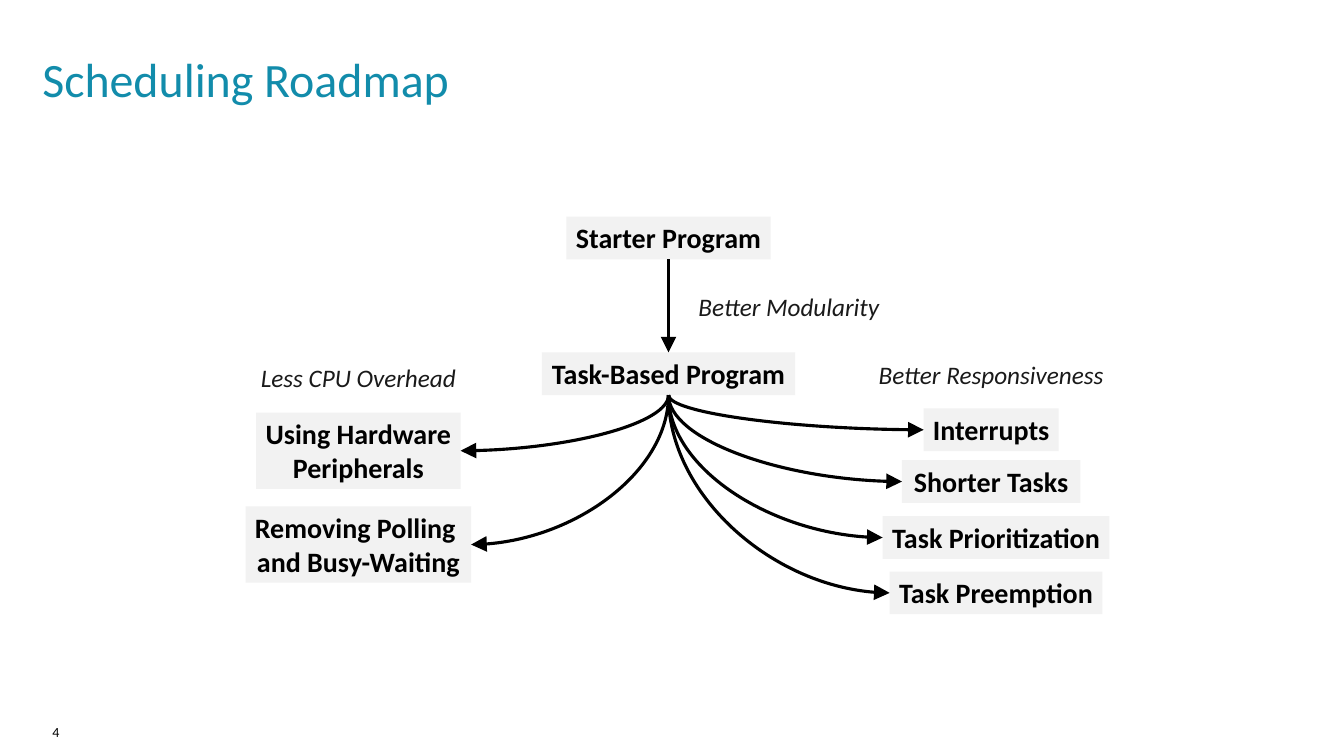
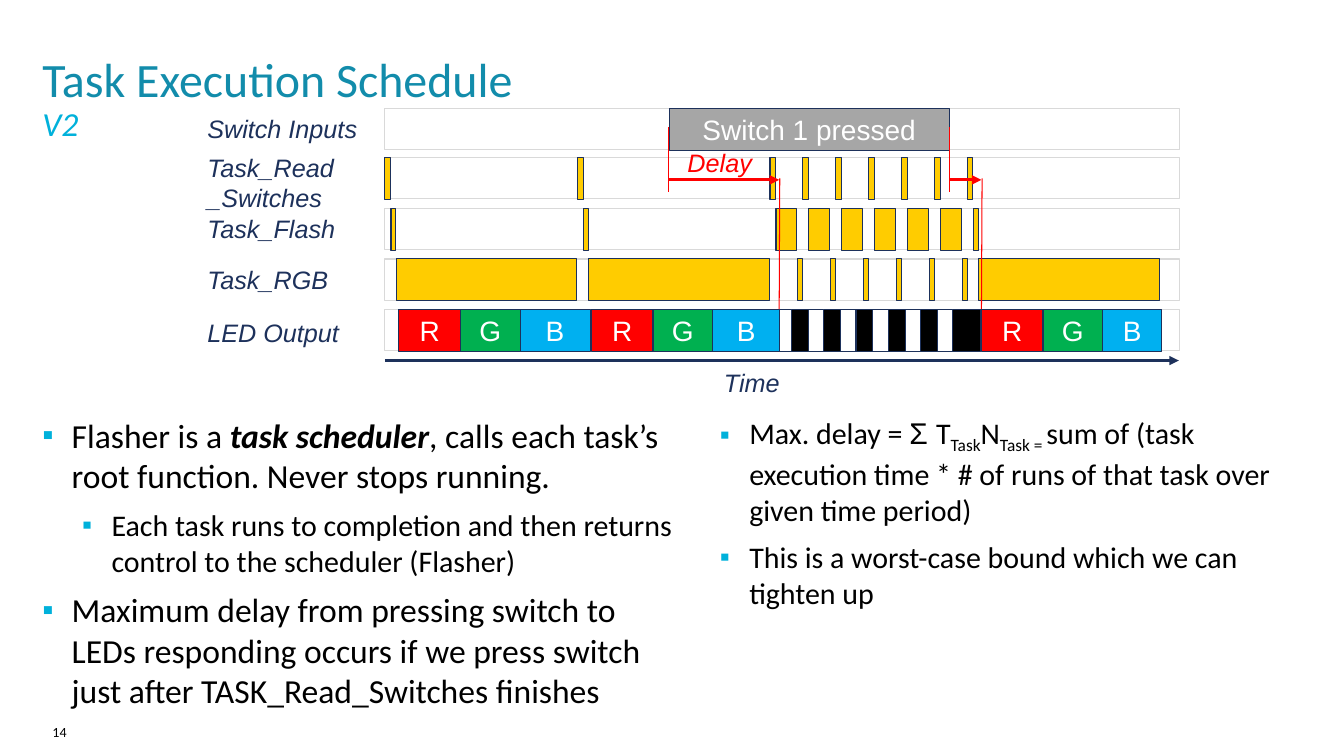
from dataclasses import dataclass

from lxml import etree
from pptx import Presentation
from pptx.dml.color import RGBColor
from pptx.enum.shapes import MSO_CONNECTOR, MSO_SHAPE
from pptx.enum.text import MSO_ANCHOR, PP_ALIGN
from pptx.oxml.ns import qn
from pptx.util import Pt

RECT = MSO_SHAPE.RECTANGLE
LINE, CURVE = MSO_CONNECTOR.STRAIGHT, MSO_CONNECTOR.CURVE
TOP, MID = MSO_ANCHOR.TOP, MSO_ANCHOR.MIDDLE
LEFT, MIDST = PP_ALIGN.LEFT, PP_ALIGN.CENTER
UP, WEST, DOWN, EAST = range(4)


@dataclass(frozen=True)
class Theme:
    sans: str = "Calibri"
    plain: str = "Arial"
    teal: str = "128CAB"
    cyan: str = "00B1DB"
    navy: str = "1D315B"
    black: str = "000000"
    white: str = "FFFFFF"
    ink: str = "1A1A1A"
    pale: str = "F2F2F2"
    rule: str = "D9D9D9"
    gray: str = "A6A6A6"
    gold: str = "FFCC00"
    red: str = "FF0000"
    green: str = "00B050"
    blue: str = "00B0F0"
    title: float = 34.2
    body: float = 24
    sub: float = 21.4
    node: float = 20
    note: float = 18
    foot: float = 10
    thin: float = 0.75
    thick: float = 2.25


T = Theme()


def rgb(code):
    return RGBColor.from_string(code)


def write(para, text, size, color, face=T.sans, bold=False, slant=False, base=0):
    for num, part in enumerate(text.split("\n")):
        if num:
            para.add_line_break()
        run = para.add_run()
        run.text = part
        font = run.font
        font.name, font.size = face, Pt(size)
        font.bold, font.italic = bold, slant
        font.color.rgb = rgb(color)
        if base:
            run._r.get_or_add_rPr().set("baseline", str(base * 1000))


def frame(shape, pad, wrap, side=LEFT, anchor=TOP):
    area = shape.text_frame
    area.word_wrap = wrap
    area.vertical_anchor = anchor
    area.margin_left = area.margin_right = Pt(pad[0])
    area.margin_top = area.margin_bottom = Pt(pad[1])
    para = area.paragraphs[0]
    para.alignment = side
    return para


def text(slide, x, y, w, h, pad=(0, 0), wrap=True, side=LEFT):
    box = slide.shapes.add_textbox(Pt(x), Pt(y), Pt(w), Pt(h))
    return box, frame(box, pad, wrap, side)


def rect(slide, x, y, w, h, fill=None, edge=None):
    shape = slide.shapes.add_shape(RECT, Pt(x), Pt(y), Pt(w), Pt(h))
    shape.shadow.inherit = False
    if fill:
        shape.fill.solid()
        shape.fill.fore_color.rgb = rgb(fill)
    else:
        shape.fill.background()
    if edge:
        shape.line.color.rgb = rgb(edge)
        shape.line.width = Pt(T.thin)
    else:
        shape.line.fill.background()
    return shape


def style(link, color, width, head=None):
    link.line.color.rgb = rgb(color)
    link.line.width = Pt(width)
    props = link.element.spPr
    if head:
        edge = props.find(qn("a:ln"))
        etree.SubElement(edge, qn("a:tailEnd"), type="triangle", w=head, len=head)
    etree.SubElement(props, qn("a:effectLst"))


def line(slide, x1, y1, x2, y2, color, width=T.thin, head=None):
    link = slide.shapes.add_connector(LINE, Pt(x1), Pt(y1), Pt(x2), Pt(y2))
    style(link, color, width, head)


def join(slide, kind, start, out, end, into):
    link = slide.shapes.add_connector(kind, 0, 0, 0, 0)
    link.begin_connect(start, out)
    link.end_connect(end, into)
    style(link, T.black, T.thick, "lg")
    return link


def bend(slide, start, end, into):
    link = join(slide, CURVE, start, DOWN, end, into)
    wide, high = link.width, link.height
    midx, midy = link.left + wide // 2, link.top + high // 2
    link.left, link.top = midx - high // 2, midy - wide // 2
    link.width, link.height = high, wide
    props = link.element.spPr
    right = into == WEST
    props.xfrm.flipH, props.xfrm.flipV = right, False
    props.xfrm.set("rot", str((270 if right else 90) * 60000))
    props.find(qn("a:prstGeom")).set("prst", "curvedConnector2")


def base(deck, title, page):
    slide = deck.slides.add_slide(deck.slide_layouts[6])
    write(text(slide, 37.5, 516.5, 103, 19)[1], page, T.foot, T.black)
    write(text(slide, 30.25, 35.5, 913, 34)[1], title, T.title, T.teal)
    return slide


def roadmap(slide, x, y):
    def node(name, cx, cy, w, h=30.5):
        shape = rect(slide, x + cx - w / 2, y + cy - h / 2, w, h, T.pale)
        para = frame(shape, (6.5, 3), False, MIDST)
        write(para, name, T.node, T.black, bold=True)
        return shape

    first = node("Starter Program", 301.5, 15, 146)
    root = node("Task-Based Program", 301.5, 112, 181)
    join(slide, LINE, first, DOWN, root, UP)

    for into, goals in (
        (EAST, (
            ("Using Hardware\nPeripherals", 80, 167, 146, 54.5),
            ("Removing Polling \nand Busy-Waiting", 80, 234, 161, 54.5),
        )),
        (WEST, (
            ("Interrupts", 532, 152, 96.5),
            ("Shorter Tasks", 532, 189, 127.5),
            ("Task Prioritization", 535.5, 229, 162),
            ("Task Preemption", 535.5, 268.5, 152),
        )),
    ):
        for goal in goals:
            bend(slide, root, node(*goal), into)

    for name, cx, cy in (
        ("Better Modularity", 387.5, 64),
        ("Less CPU Overhead", 80, 115),
        ("Better Responsiveness", 532, 113),
    ):
        para = text(slide, x + cx - 88, y + cy - 14, 176, 28, (6.5, 3), False, MIDST)[1]
        write(para, name, T.note, T.ink, slant=True)


def chart(slide, x, y):
    rows = (0, 35, 71.5, 107.5, 143.5)
    names = ("Switch Inputs", "Task_Read\n_Switches", "Task_Flash", "Task_RGB", "LED Output")
    high = 30

    def label(name, dx, dy, w, color=T.navy):
        para = text(slide, x + dx, y + dy, w, 29, (7.2, 3.6), False)[1]
        write(para, name, T.note, color, T.plain, slant=True)

    def bar(row, dx, w, fill, name=""):
        shape = rect(slide, x + dx, y + rows[row], w, high, fill, T.navy)
        if name:
            para = frame(shape, (7.2, 3.6), False, MIDST, MID)
            write(para, name, T.node, T.white, T.plain)

    for top in rows:
        rect(slide, x, y + top, 567.5, 29.5, edge=T.rule)
    for name, top in zip(names, (0, 27.5, 71.5, 107.5, 145.5)):
        label(name, -134, top, 134)
    line(slide, x, y + 180, x + 567, y + 180, T.navy, T.thick, "med")
    label("Time", 235, 181, 60)
    bar(0, 203, 200, T.gray, "Switch 1 pressed")

    quick = [275 + 23.5 * num for num in range(6)]
    cycles = [(at, 3.5, 8, 129) for at in (0, 137.5, 416)]
    cycles += [(at, 15, 20, 3.5) for at in quick]
    for at, flash, shift, color in cycles:
        bar(1, at, 4, T.gold)
        bar(2, at + 4.3, flash, T.gold)
        bar(3, at + shift, color, T.gold)

    for at, end in ((202.5, 281.5), (403, 426)):
        line(slide, x + at, y + 13.5, x + at, y + 60, T.red)
        line(slide, x + at, y + 51, x + end, y + 51, T.red, T.thick, "med")
        line(slide, x + end + 0.5, y + 50, x + end, y + 158.5, T.red)
    label("Delay", 209, 24.5, 70, T.red)

    bar(4, 281.5, 144, T.black)
    for num in range(6):
        bar(4, 279.5 + 23 * num, 11, T.white)
    for at, last in ((10, 50), (147.5, 48), (426, 42.5)):
        bar(4, at, 44, T.red, "R")
        bar(4, at + 44, 42.5, T.green, "G")
        bar(4, at + 86.5, last, T.blue, "B")


def points(slide, x, y, w, h):
    big, small = (T.body, T.black), (T.sub, T.black)
    items = (
        (0, (
            ("Flasher is a ", *big),
            ("task scheduler", *big, T.sans, True, True),
            (", calls each task’s root function. Never stops running.", *big),
        )),
        (1, (("Each task runs to completion and then returns control to the scheduler (Flasher)", *small),)),
        (0, (("Maximum delay from pressing switch to LEDs responding occurs if we press switch just after TASK_Read_Switches finishes", *big),)),
        (1, (
            ("Max. delay = ", *small),
            ("Σ ", *small, T.plain),
            ("T", *small),
            ("Task", *small, T.sans, False, False, -25),
            ("N", *small),
            ("Task = ", *small, T.sans, False, False, -25),
            ("sum of (task execution time * # of runs of that task over given time period)", *small),
        )),
        (1, (("This is a worst-case bound which we can tighten up", *small),)),
    )
    box, para = text(slide, x, y, w, h)
    box.element.txBody.bodyPr.set("numCol", "2")
    for num, (level, runs) in enumerate(items):
        if num:
            para = box.text_frame.add_paragraph()
        para.level = level
        props = para._p.get_or_add_pPr()
        props.set("marL", str(Pt(49.5 if level else 21)))
        props.set("indent", str(-Pt(21)))
        tint = etree.SubElement(props, qn("a:buClr"))
        etree.SubElement(tint, qn("a:srgbClr"), val=T.cyan)
        etree.SubElement(props, qn("a:buSzPct"), val="95000")
        etree.SubElement(props, qn("a:buFont"), typeface=T.plain)
        etree.SubElement(props, qn("a:buChar"), char="▪")
        para.space_after = Pt(8)
        for run in runs:
            write(para, *run)


def main():
    deck = Presentation()
    deck.slide_width, deck.slide_height = Pt(960), Pt(540)
    roadmap(base(deck, "Scheduling Roadmap", "4"), 176, 155)
    slide = base(deck, "Task Execution Schedule", "14")
    points(slide, 30.25, 296, 911, 217)
    write(text(slide, 30.25, 73.5, 100, 22)[1], "V2", T.body, T.cyan, slant=True)
    chart(slide, 275, 77.5)
    deck.save("out.pptx")


if __name__ == "__main__":
    main()
